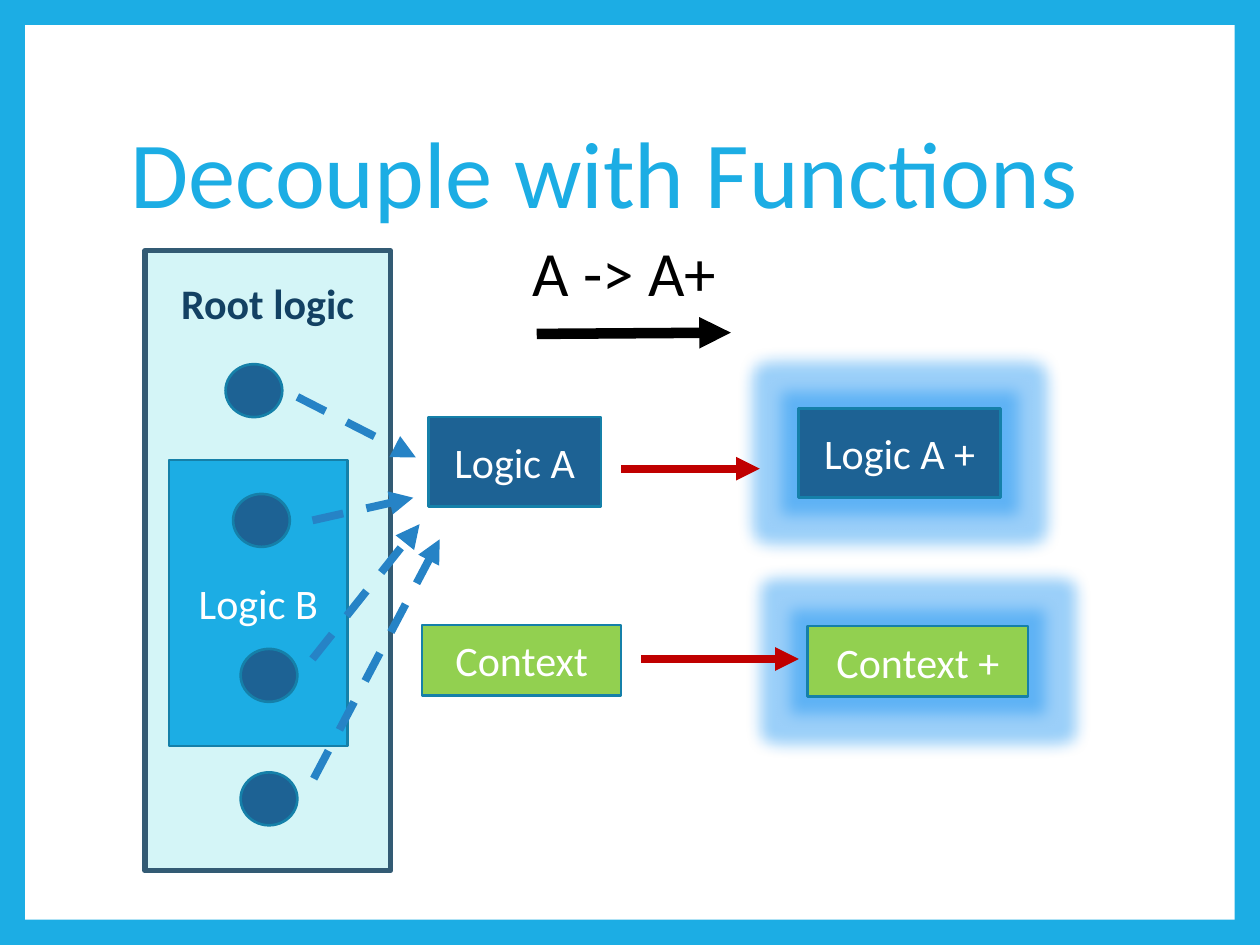
from dataclasses import dataclass
from lxml import etree
from pptx import Presentation
from pptx.dml.color import RGBColor
from pptx.enum.dml import MSO_LINE
from pptx.enum.shapes import MSO_CONNECTOR, MSO_SHAPE
from pptx.enum.text import MSO_ANCHOR, PP_ALIGN
from pptx.oxml.ns import qn
from pptx.util import Inches, Pt

RECT, OVAL = MSO_SHAPE.RECTANGLE, MSO_SHAPE.OVAL
STRAIGHT, DASH = MSO_CONNECTOR.STRAIGHT, MSO_LINE.DASH
LEFT, CENTER = PP_ALIGN.LEFT, PP_ALIGN.CENTER
TOP, MIDDLE = MSO_ANCHOR.TOP, MSO_ANCHOR.MIDDLE
FONT = "Calibri"
COLORS = {
    "sky": "1CADE4", "white": "FFFFFF", "black": "000000", "pale": "D4F5F7",
    "slate": "335B74", "navy": "134163", "blue": "1D6294", "edge": "1580A9",
    "green": "92D050", "red": "C00000", "dash": "2683C6", "glow": "0589F0",
}


@dataclass
class Box:
    at: tuple
    fill: str
    text: str = ""
    line: str | None = "edge"
    width: float = 1.5
    glow: bool = False
    shape: int = RECT


@dataclass
class Label:
    at: tuple
    text: str
    size: int
    color: str
    bold: bool = False
    anchor: int = TOP
    spacing: float = 1.0


@dataclass
class Arrow:
    start: tuple
    end: tuple
    color: str
    width: float = 4.5
    dash: int | None = None


def rgb(name: str) -> RGBColor:
    return RGBColor.from_string(COLORS[name])


def write(tf, text: str, size: int, color: str, align, anchor, bold=False, spacing=1.0) -> None:
    tf.word_wrap = True
    tf.vertical_anchor = anchor
    p = tf.paragraphs[0]
    p.alignment, p.line_spacing = align, spacing
    r = p.add_run()
    r.text = text
    for name, value in {"name": FONT, "size": Pt(size), "bold": bold}.items():
        setattr(r.font, name, value)
    r.font.color.rgb = rgb(color)


def add_glow(sp) -> None:
    effects = sp._element.spPr.find(qn("a:effectLst"))
    glow = etree.SubElement(effects, qn("a:glow"), rad=str(Pt(18)))
    color = etree.SubElement(glow, qn("a:srgbClr"), val=COLORS["glow"])
    etree.SubElement(color, qn("a:alpha"), val="40000")


def add_box(slide, box: Box) -> None:
    sp = slide.shapes.add_shape(box.shape, *map(Inches, box.at))
    sp.shadow.inherit = False
    sp.fill.solid()
    sp.fill.fore_color.rgb = rgb(box.fill)
    if box.line:
        sp.line.color.rgb = rgb(box.line)
        sp.line.width = Pt(box.width)
    else:
        sp.line.fill.background()
    if box.glow:
        add_glow(sp)
    if box.text:
        write(sp.text_frame, box.text, 24, "white", CENTER, MIDDLE)


def add_label(slide, label: Label) -> None:
    sp = slide.shapes.add_textbox(*map(Inches, label.at))
    write(sp.text_frame, label.text, label.size, label.color, LEFT,
          label.anchor, label.bold, label.spacing)


def add_arrow(slide, arrow: Arrow) -> None:
    sp = slide.shapes.add_connector(STRAIGHT, *map(Inches, arrow.start + arrow.end))
    sp.line.color.rgb = rgb(arrow.color)
    sp.line.width = Pt(arrow.width)
    if arrow.dash:
        sp.line.dash_style = arrow.dash
    etree.SubElement(sp.line._get_or_add_ln(), qn("a:tailEnd"), type="triangle")
    etree.SubElement(sp._element.spPr, qn("a:effectLst"))


# Frame, root panel and logic boxes
BOXES = [
    Box((0.2, 0.2, 9.6, 7.1), "white", line=None),
    Box((1.15, 1.99, 1.95, 4.92), "pale", line="slate", width=3),
    Box((3.4, 3.31, 1.37, 0.71), "blue", "Logic A"),
    Box((1.34, 3.65, 1.42, 2.27), "sky", "Logic B"),
    Box((6.34, 3.24, 1.6, 0.71), "blue", "Logic A +", glow=True),
    Box((3.35, 4.96, 1.58, 0.56), "green", "Context"),
    Box((6.41, 4.97, 1.75, 0.56), "green", "Context +", glow=True),
]
# Call sites inside the root logic
CALLS = [(1.79, 2.89), (1.85, 3.92), (1.91, 5.15), (1.91, 6.13)]
BOXES += [Box((x, y, 0.45, 0.42), "blue", shape=OVAL) for x, y in CALLS]

LABELS = [
    Label((0.94, 0.67, 8.1, 1.48), "Decouple with Functions", 54, "sky",
          anchor=MIDDLE, spacing=0.9),
    Label((1.34, 2.15, 2.3, 0.5), "Root logic", 24, "navy", bold=True),
    Label((4.13, 1.8, 1.73, 0.71), "A -> A+", 36, "black"),
]

# Transformations, then calls to Logic A
ARROWS = [
    Arrow((4.26, 2.65), (5.8, 2.64), "black", 6),
    Arrow((4.93, 3.72), (6.03, 3.72), "red"),
    Arrow((5.09, 5.23), (6.34, 5.23), "red"),
]
CALL_LINES = [
    ((2.36, 3.15), (3.3, 3.63)), ((2.48, 4.13), (3.28, 3.95)),
    ((2.48, 5.23), (3.33, 4.16)), ((2.49, 6.18), (3.49, 4.28)),
]
ARROWS += [Arrow(start, end, "dash", dash=DASH) for start, end in CALL_LINES]

prs = Presentation()
prs.slide_width, prs.slide_height = Inches(10), Inches(7.5)
slide = prs.slides.add_slide(prs.slide_layouts[6])
slide.background.fill.solid()
slide.background.fill.fore_color.rgb = rgb("sky")

for draw, items in ((add_box, BOXES), (add_label, LABELS), (add_arrow, ARROWS)):
    for item in items:
        draw(slide, item)

prs.save("out.pptx")
